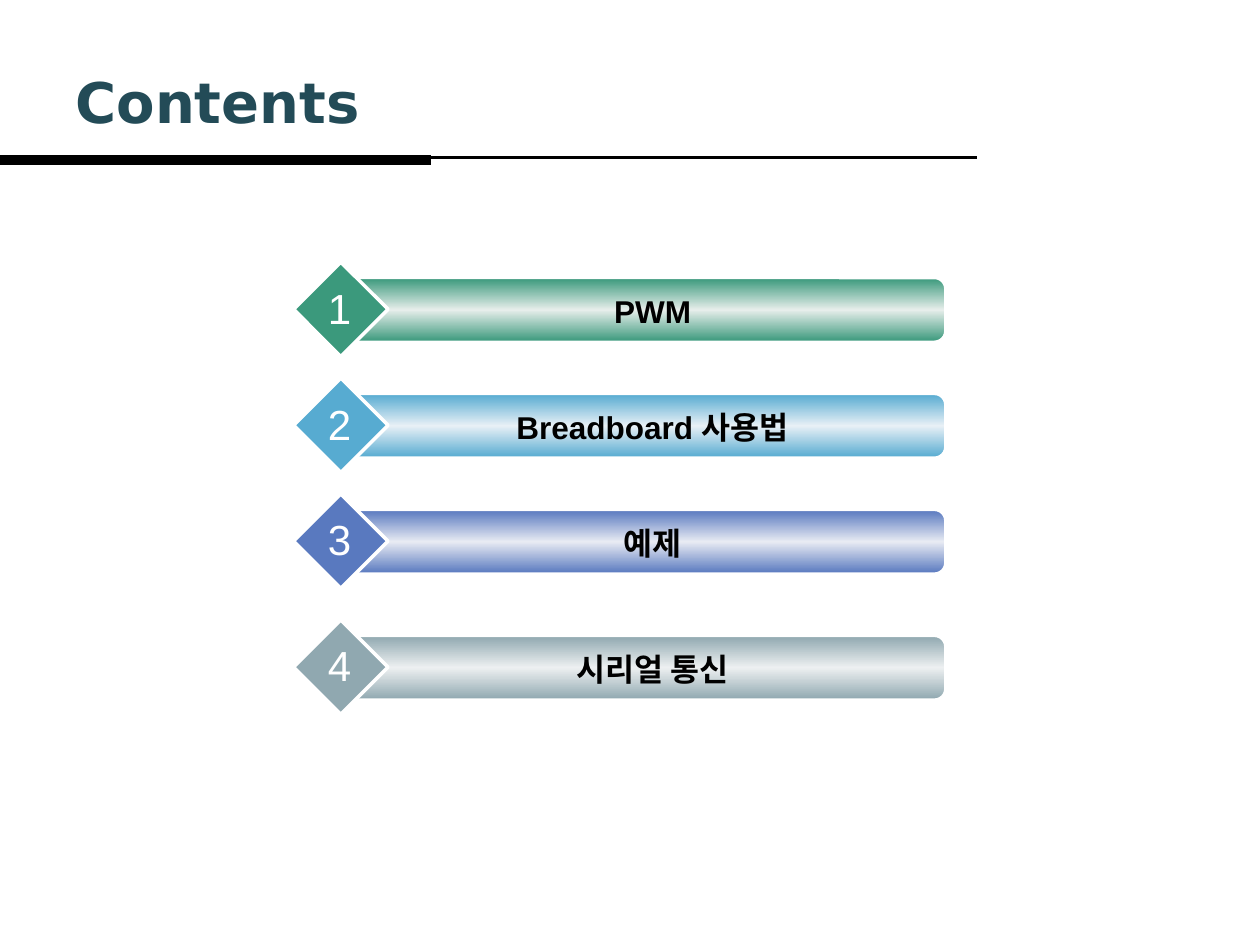
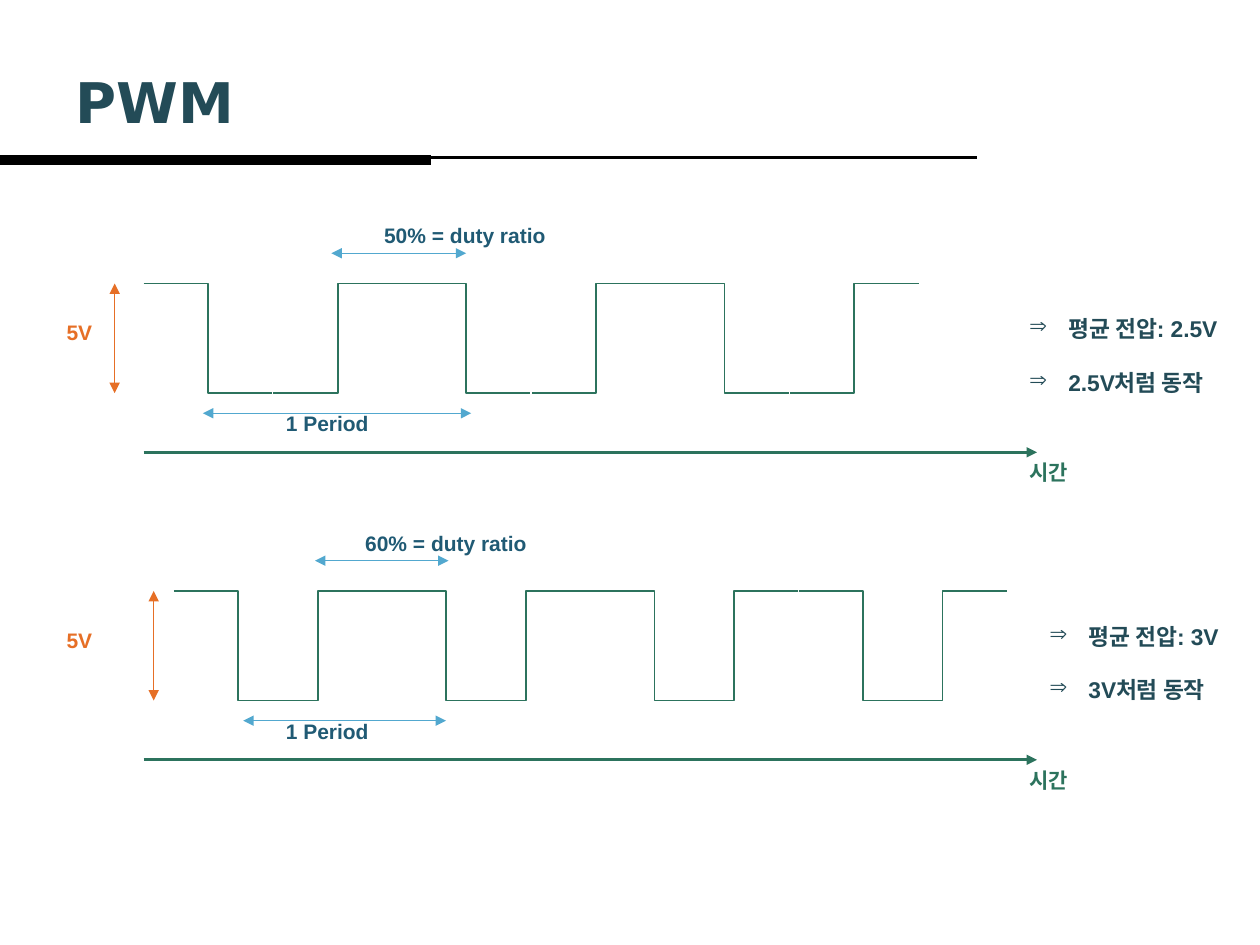
from copy import deepcopy

from lxml import etree
from pptx import Presentation
from pptx.dml.color import RGBColor
from pptx.enum.shapes import MSO_CONNECTOR, MSO_SHAPE
from pptx.enum.text import MSO_ANCHOR, PP_ALIGN
from pptx.oxml.ns import qn
from pptx.util import Inches, Pt

STRAIGHT, ELBOW = MSO_CONNECTOR.STRAIGHT, MSO_CONNECTOR.ELBOW
ROUNDED, DIAMOND = MSO_SHAPE.ROUNDED_RECTANGLE, MSO_SHAPE.DIAMOND
LEFT, CENTER = PP_ALIGN.LEFT, PP_ALIGN.CENTER
MIDDLE = MSO_ANCHOR.MIDDLE

BLACK = RGBColor(0x00, 0x00, 0x00)
WHITE = RGBColor(0xFF, 0xFF, 0xFF)
NAVY = RGBColor(0x23, 0x4B, 0x57)
GREEN = RGBColor(0x2C, 0x73, 0x5D)
SKY = RGBColor(0x52, 0xA8, 0xCF)
TEAL = RGBColor(0x20, 0x5A, 0x74)
ORANGE = RGBColor(0xE6, 0x6F, 0x26)

BODY_FONT, TITLE_FONT = "Arial", "DejaVu Sans"

CONTENTS = [
    ("PWM", 2.21, RGBColor(0x3B, 0x99, 0x7C), RGBColor(0xE7, 0xEE, 0xEB)),
    ("Breadboard 사용법", 3.13, RGBColor(0x57, 0xAB, 0xD1), RGBColor(0xE8, 0xF0, 0xF6)),
    ("예제", 4.05, RGBColor(0x59, 0x79, 0xBF), RGBColor(0xE8, 0xEB, 0xF3)),
    ("시리얼 통신", 5.05, RGBColor(0x90, 0xA8, 0xB0), RGBColor(0xED, 0xF0, 0xF1)),
]

SIGNALS = [
    {"top": 2.25, "start": 1.14, "end": 7.29, "cycles": 3,
     "duty": "50% = duty ratio", "duty_left": 2.95, "duty_span": (2.63, 3.7),
     "period_span": (1.61, 3.74), "voltage_x": 0.91, "notes_left": 8.07,
     "notes": ["평균 전압: 2.5V", "2.5V처럼 동작"]},
    {"top": 4.69, "start": 1.38, "end": 7.99, "cycles": 4,
     "duty": "60% = duty ratio", "duty_left": 2.8, "duty_span": (2.5, 3.56),
     "period_span": (1.93, 3.54), "voltage_x": 1.22, "notes_left": 8.23,
     "notes": ["평균 전압: 3V", "3V처럼 동작"]},
]
STEP_WIDTH, STEP_HEIGHT = 1.02, 0.87


def style_font(font, size, color, bold=True, name=BODY_FONT):
    font.name, font.size, font.bold = name, Pt(size), bold
    font.color.rgb = color


def add_line(page, start, end, color, width, kind=STRAIGHT, arrows=()):
    line = page.shapes.add_connector(kind, *map(Inches, start + end))
    line.line.color.rgb = color
    line.line.width = Pt(width)
    properties = line._element.spPr
    outline = properties.find(qn("a:ln"))
    for arrow in arrows:
        etree.SubElement(outline, qn(arrow), type="triangle")
    etree.SubElement(properties, qn("a:effectLst"))


def add_measure(page, start, end, color):
    add_line(page, start, end, color, 0.75, arrows=("a:headEnd", "a:tailEnd"))


def add_label(page, text, place, size, color, bold=True, align=LEFT, wrap=True):
    box = page.shapes.add_textbox(*map(Inches, place))
    box.text_frame.word_wrap = wrap
    para = box.text_frame.paragraphs[0]
    para.text = text
    para.alignment = align
    style_font(para.font, size, color, bold)


def add_outlined(page, kind, place, line_width):
    shape = page.shapes.add_shape(kind, *map(Inches, place))
    shape.shadow.inherit = False
    shape.line.color.rgb = WHITE
    shape.line.width = Pt(line_width)
    return shape


def fill_banded(shape, edge, middle):
    shape.fill.gradient()
    shape.fill.gradient_angle = 90
    stops = shape._element.spPr.find(qn("a:gradFill")).find(qn("a:gsLst"))
    stops.insert(1, deepcopy(stops[0]))
    for stop, color, position in zip(shape.fill.gradient_stops,
                                     (edge, middle, edge), (0, 0.5, 1)):
        stop.color.rgb = color
        stop.position = position


def add_page(deck, heading):
    page = deck.slides.add_slide(deck.slide_layouts[5])
    add_line(page, (7.75, 1.25), (0, 1.25), BLACK, 1.5)
    add_line(page, (0, 1.27), (3.42, 1.27), BLACK, 6)
    title = page.shapes.title
    title.left, title.top, title.width, title.height = map(Inches, (0.5, 0.41, 8.42, 0.79))
    title.text_frame.vertical_anchor = MIDDLE
    para = title.text_frame.paragraphs[0]
    para.text = heading
    para.alignment = LEFT
    style_font(para.font, 32, NAVY, name=TITLE_FONT)
    return page


def add_contents_row(page, number, text, top, color, light):
    bar = add_outlined(page, ROUNDED, (2.75, top, 4.75, 0.5), 1)
    fill_banded(bar, color, light)
    diamond = add_outlined(page, DIAMOND, (2.33, top - 0.13, 0.75, 0.75), 2)
    diamond.fill.solid()
    diamond.fill.fore_color.rgb = color
    add_label(page, text, (3, top + 0.06, 4.36, 0.4), 18, BLACK, align=CENTER)
    add_label(page, str(number), (2.5, top - 0.02, 0.39, 0.5), 24, WHITE,
              bold=False, align=CENTER, wrap=False)


def add_notes(page, notes, left, top):
    box = page.shapes.add_textbox(*map(Inches, (left, top, 1.81, 0.76)))
    frame = box.text_frame
    frame.word_wrap = True
    for index, note in enumerate(notes):
        para = frame.add_paragraph() if index else frame.paragraphs[0]
        para.text = note
        properties = para._p.get_or_add_pPr()
        properties.set("marL", str(Inches(0.31)))
        properties.set("indent", str(-Inches(0.31)))
        etree.SubElement(properties, qn("a:buChar"), char="⇒")
        if index:
            para.space_before = Pt(15)
        style_font(para.font, 13, NAVY)


def add_signal(page, signal):
    top, start = signal["top"], signal["start"]
    bottom = top + STEP_HEIGHT
    period = (signal["end"] - start) / signal["cycles"]
    for cycle in range(signal["cycles"]):
        fall = start + cycle * period
        rise = fall + period
        add_line(page, (fall, top), (fall + STEP_WIDTH, bottom), GREEN, 1, ELBOW)
        add_line(page, (rise, top), (rise - STEP_WIDTH, bottom), GREEN, 1, ELBOW)

    axis = top + 1.34
    add_line(page, (1.14, axis), (8.23, axis), GREEN, 1.5, arrows=("a:tailEnd",))
    add_label(page, "시간", (8.07, axis + 0.01, 0.63, 0.3), 12, GREEN)

    for (left, right), y in ((signal["period_span"], top + 1.03),
                             (signal["duty_span"], top - 0.24)):
        add_measure(page, (left, y), (right, y), SKY)
    add_label(page, "1 Period", (2.17, top + 0.96, 0.91, 0.3), 12, TEAL)
    add_label(page, signal["duty"], (signal["duty_left"], top - 0.53, 2.05, 0.3), 12, TEAL)

    add_measure(page, (signal["voltage_x"], top), (signal["voltage_x"], bottom), ORANGE)
    add_label(page, "5V", (0.43, top + 0.24, 0.48, 0.3), 12, ORANGE)
    add_notes(page, signal["notes"], signal["notes_left"], top + 0.2)


def main():
    deck = Presentation()
    deck.slide_width, deck.slide_height = Inches(10), Inches(7.5)
    contents_page = add_page(deck, "Contents")
    for number, row in enumerate(CONTENTS, 1):
        add_contents_row(contents_page, number, *row)
    pwm_page = add_page(deck, "PWM")
    for signal in SIGNALS:
        add_signal(pwm_page, signal)
    deck.save("out.pptx")


if __name__ == "__main__":
    main()
